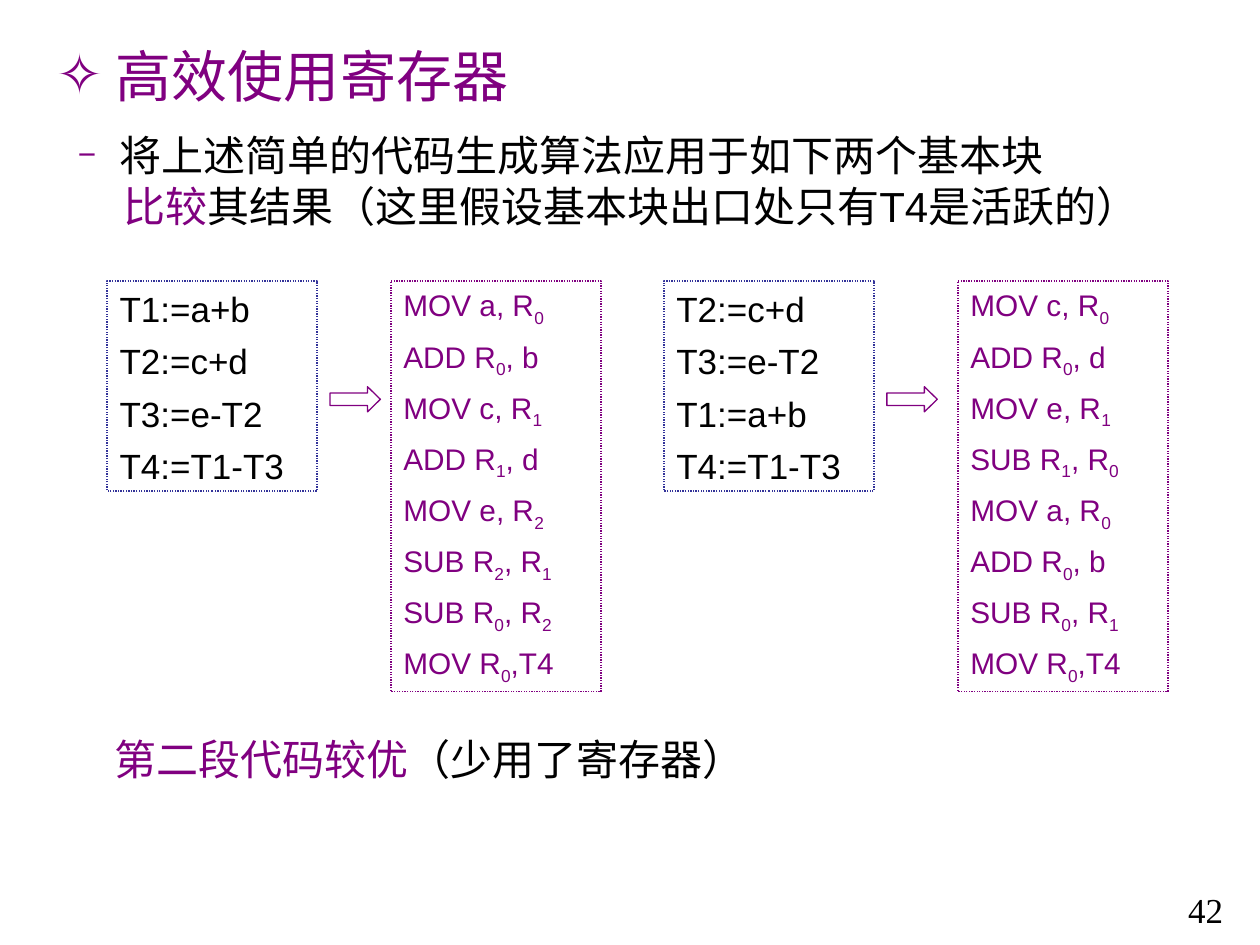
from dataclasses import dataclass

from lxml import etree
from pptx import Presentation
from pptx.dml.color import RGBColor
from pptx.enum import dml, shapes, text
from pptx.oxml import ns
from pptx.util import Pt


@dataclass(frozen=True)
class Theme:
    accent: RGBColor = RGBColor(0x80, 0x00, 0x80)
    ink: RGBColor = RGBColor(0x00, 0x00, 0x00)
    source_border: RGBColor = RGBColor(0x33, 0x33, 0x99)
    font: str = "Arial"
    number_font: str = "Times New Roman"
    title: float = 32
    body: float = 24
    source: float = 20
    assembly: float = 17
    border: float = 0.75
    line_gap: float = 6


THEME = Theme()

# Each block: box (left, top, width, height), source lines, generated code
BLOCKS = [
    ((61.2, 160.6, 282.2, 234.7),
     ["T1:=a+b", "T2:=c+d", "T3:=e-T2", "T4:=T1-T3"],
     ["MOV a, R0", "ADD R0, b", "MOV c, R1", "ADD R1, d",
      "MOV e, R2", "SUB R2, R1", "SUB R0, R2", "MOV R0,T4"]),
    ((379.4, 160.6, 288, 234.7),
     ["T2:=c+d", "T3:=e-T2", "T1:=a+b", "T4:=T1-T3"],
     ["MOV c, R0", "ADD R0, d", "MOV e, R1", "SUB R1, R0",
      "MOV a, R0", "ADD R0, b", "SUB R0, R1", "MOV R0,T4"]),
]


def style(run, size, color, font=THEME.font):
    run.font.size = Pt(size)
    run.font.name = font
    run.font.color.rgb = color


def add_styled(paragraph, words, size, color, font=THEME.font):
    run = paragraph.add_run()
    run.text = words
    style(run, size, color, font)
    return run


def text_area(slide, box, wrap=True):
    frame = slide.shapes.add_textbox(*map(Pt, box)).text_frame
    frame.word_wrap = wrap
    return frame


def set_indent(paragraph, indent, bullet=None, percent=100):
    props = paragraph._p.get_or_add_pPr()
    props.set("marL", str(Pt(indent)))
    props.set("indent", str(-Pt(indent) if bullet else 0))
    if bullet:
        color = etree.SubElement(props, ns.qn("a:buClr"))
        etree.SubElement(color, ns.qn("a:srgbClr"), val=str(THEME.accent))
        etree.SubElement(props, ns.qn("a:buSzPct"), val=str(percent * 1000))
        etree.SubElement(props, ns.qn("a:buFont"), typeface=THEME.font)
        etree.SubElement(props, ns.qn("a:buChar"), char=bullet)


def outlined(slide, preset, box, color):
    shape = slide.shapes.add_shape(preset, *map(Pt, box))
    shape.shadow.inherit = False
    shape.fill.background()
    shape.line.color.rgb = color
    shape.line.width = Pt(THEME.border)
    return shape


def add_title(slide, box):
    heading = text_area(slide, box).paragraphs[0]
    set_indent(heading, 34, "✧")
    add_styled(heading, "高效使用寄存器", THEME.title, THEME.accent)


def add_task(slide, box):
    frame = text_area(slide, box)
    task = frame.paragraphs[0]
    set_indent(task, 24, "−", 75)
    add_styled(task, "将上述简单的代码生成算法应用于如下两个基本块", THEME.body, THEME.ink)
    comparison = frame.add_paragraph()
    set_indent(comparison, 26)
    add_styled(comparison, "比较", THEME.body, THEME.accent)
    add_styled(comparison, "其结果（这里假设基本块出口处只有T4是活跃的）",
               THEME.body, THEME.ink)


def write_code(paragraph, line, size, color):
    """Write one line of code; the digit after each register R is lowered."""
    first, *registers = line.split("R")
    add_styled(paragraph, first + "R" * bool(registers), size, color)
    for i, part in enumerate(registers, 1):
        number = add_styled(paragraph, part[0], size, color)
        number.font._element.set("baseline", "-25000")
        rest = part[1:] + "R" * (i < len(registers))
        if rest:
            add_styled(paragraph, rest, size, color)


def add_code_box(slide, box, lines, size, color, border):
    panel = outlined(slide, shapes.MSO_SHAPE.RECTANGLE, box, border)
    panel.line.dash_style = dml.MSO_LINE.ROUND_DOT
    frame = panel.text_frame
    frame.word_wrap = True
    frame.vertical_anchor = text.MSO_ANCHOR.TOP
    for i, line in enumerate(lines):
        paragraph = frame.add_paragraph() if i else frame.paragraphs[0]
        paragraph.alignment = text.PP_ALIGN.LEFT
        if i:
            paragraph.space_before = Pt(THEME.line_gap)
        write_code(paragraph, line, size, color)


def add_block(slide, box, source, assembly):
    """Source code on the left, an arrow, generated code on the right."""
    left, top, width, height = box
    side = 120
    add_code_box(slide, (left, top, side, side), source,
                 THEME.source, THEME.ink, THEME.source_border)
    arrow = outlined(slide, shapes.MSO_SHAPE.RIGHT_ARROW,
                     (left + side + 7.4, top + 60.4, 28.8, 14.4), THEME.accent)
    arrow.adjustments[1] = 0.51
    add_code_box(slide, (left + width - side, top, side, height), assembly,
                 THEME.assembly, THEME.accent, THEME.accent)


def add_conclusion(slide, box):
    frame = text_area(slide, box, wrap=False)
    frame.margin_top = frame.margin_bottom = 0
    conclusion = frame.paragraphs[0]
    add_styled(conclusion, "第二段代码较优", THEME.body, THEME.accent)
    add_styled(conclusion, "（少用了寄存器）", THEME.body, THEME.ink)


def add_page_number(slide, box):
    number = text_area(slide, box).paragraphs[0]
    add_styled(number, "42", THEME.source, THEME.ink, THEME.number_font)


def main():
    deck = Presentation()
    deck.slide_width, deck.slide_height = Pt(720), Pt(540)
    slide = deck.slides.add_slide(deck.slide_layouts[6])

    # Heading and task
    add_title(slide, (25.2, 20.2, 294.5, 46))
    add_task(slide, (37.4, 70.6, 648, 93.6))

    # The two basic blocks with their generated code
    for box, source, assembly in BLOCKS:
        add_block(slide, box, source, assembly)

    # Conclusion and page number
    add_conclusion(slide, (58.3, 419, 374.4, 28.8))
    add_page_number(slide, (671.8, 504, 48.2, 31.7))

    deck.save("out.pptx")


if __name__ == "__main__":
    main()
